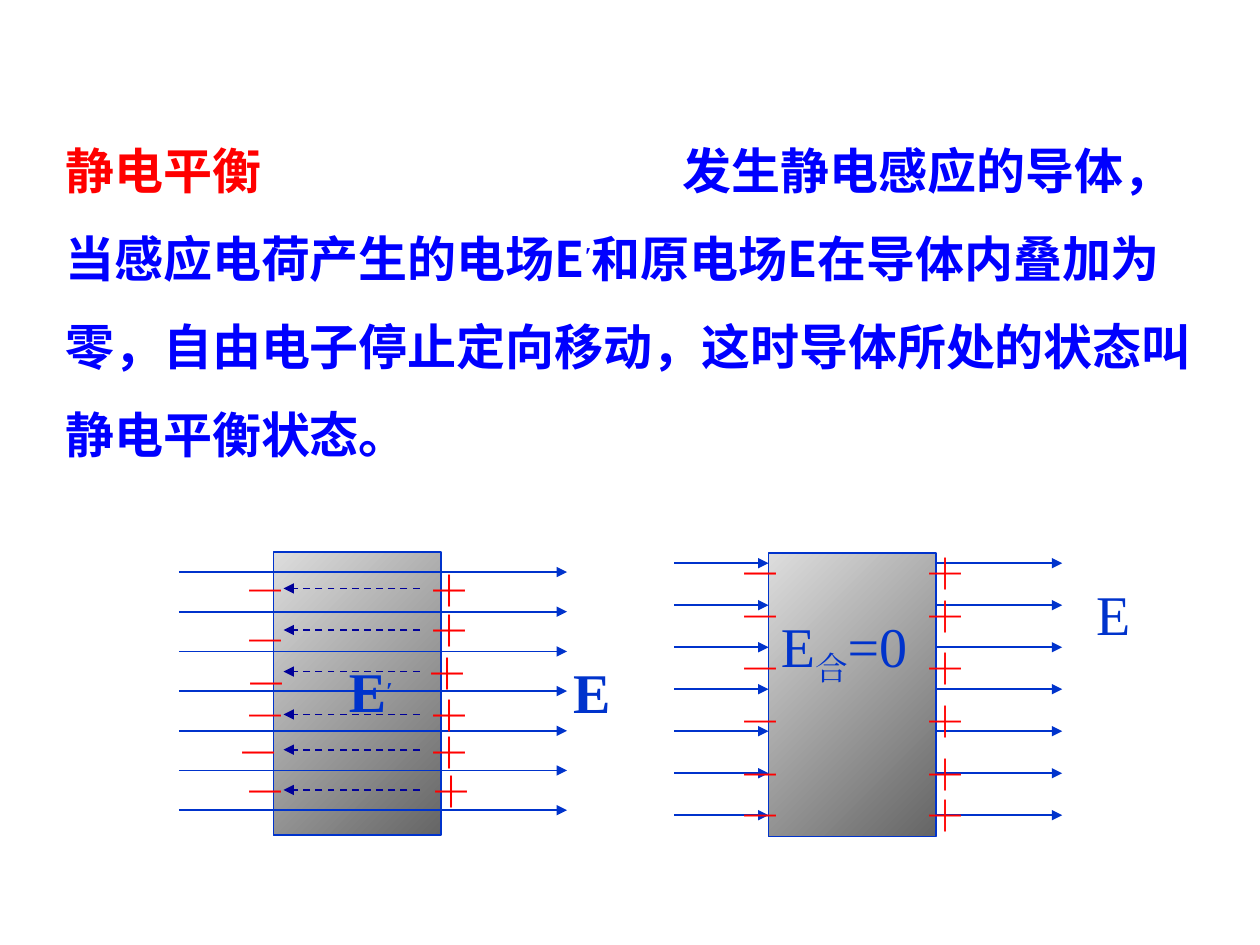
from lxml import etree
from pptx import Presentation
from pptx.dml.color import RGBColor
from pptx.enum.dml import MSO_LINE
from pptx.enum.shapes import MSO_CONNECTOR, MSO_SHAPE
from pptx.enum.text import MSO_AUTO_SIZE
from pptx.oxml.ns import qn
from pptx.util import Inches, Pt

STRAIGHT = MSO_CONNECTOR.STRAIGHT
RECTANGLE = MSO_SHAPE.RECTANGLE
DASH = MSO_LINE.DASH
FIT_SHAPE = MSO_AUTO_SIZE.SHAPE_TO_FIT_TEXT
RED = RGBColor(0xFF, 0x00, 0x00)
TEXT_BLUE = RGBColor(0x00, 0x00, 0xFF)
FIELD_BLUE = RGBColor(0x00, 0x33, 0xCC)
INDUCED_BLUE = RGBColor(0x00, 0x00, 0x99)
DARK_GREY = RGBColor(0x65, 0x65, 0x65)
LIGHT_GREY = RGBColor(0xDD, 0xDD, 0xDD)
SANS = "Noto Sans CJK SC"
SERIF = "Times New Roman"

prs = Presentation()
prs.slide_width, prs.slide_height = Inches(10), Inches(7.5)
slide = prs.slides.add_slide(prs.slide_layouts[6])


def add_text(left, top, width, height, runs, bold=False, wrap=True):
    box = slide.shapes.add_textbox(Inches(left), Inches(top), Inches(width), Inches(height))
    frame = box.text_frame
    frame.word_wrap = wrap
    frame.auto_size = FIT_SHAPE
    paragraph = frame.paragraphs[0]
    for text, size, font, color, baseline in runs:
        run = paragraph.add_run()
        run.text = text
        run.font.size = Pt(size)
        run.font.bold = bold
        run.font.color.rgb = color
        run.font.name = font
        properties = run.font._element
        etree.SubElement(properties, qn("a:ea")).set("typeface", font)
        if baseline:
            properties.set("baseline", str(baseline * 1000))
    return paragraph


def add_arrow(start, end, y, color=FIELD_BLUE, dash=None):
    arrow = slide.shapes.add_connector(STRAIGHT, Inches(start), Inches(y), Inches(end), Inches(y))
    arrow.line.color.rgb = color
    arrow.line.width = Pt(1)
    if dash:
        arrow.line.dash_style = dash
    etree.SubElement(arrow.line._get_or_add_ln(), qn("a:tailEnd")).set("type", "triangle")
    etree.SubElement(arrow._element.spPr, qn("a:effectLst"))


definition = add_text(0.42, 0.83, 9.25, 2.9, [
    ("静电平衡\t", 28, SANS, RED, 0),
    ("发生静电感应的导体，当感应电荷产生的电场E", 28, SANS, TEXT_BLUE, 0),
    ("′", 24, SERIF, TEXT_BLUE, 30),
    ("和原电场E在导体内叠加为零，自由电子停止定向移动，这时导体所处的状态叫静电平衡状态。",
     28, SANS, TEXT_BLUE, 0),
], bold=True)
definition.line_spacing = 1.5
tab_list = etree.SubElement(definition._p.get_or_add_pPr(), qn("a:tabLst"))
tab = etree.SubElement(tab_list, qn("a:tab"))
tab.set("pos", str(Inches(4.9)))
tab.set("algn", "l")

for left, top in [(2.17, 4.38), (6.1, 4.39)]:
    conductor = slide.shapes.add_shape(RECTANGLE, Inches(left), Inches(top), Inches(1.33), Inches(2.25))
    conductor.shadow.inherit = False
    conductor.fill.gradient()
    conductor.fill.gradient_angle = 135
    for stop, grey in zip(conductor.fill.gradient_stops, (DARK_GREY, LIGHT_GREY)):
        stop.color.rgb = grey
    conductor.line.color.rgb = FIELD_BLUE
    conductor.line.width = Pt(1)

for row in range(7):
    add_arrow(1.42, 4.5, 4.54 + row * 0.315)
    outer_y = 4.47 + row / 3
    add_arrow(5.35, 6.1, outer_y)
    add_arrow(7.43, 8.43, outer_y)

for induced_y in (4.67, 5, 5.33, 5.67, 5.95, 6.27):
    add_arrow(3.33, 2.25, induced_y, INDUCED_BLUE, DASH)

charges = [
    ("－", 1.84, 4.43, 0.53, False), ("－", 1.84, 4.83, 0.53, False),
    ("－", 1.85, 5.17, 0.53, True), ("－", 1.84, 5.42, 0.53, False),
    ("－", 1.79, 5.72, 0.53, True), ("－", 1.84, 6.03, 0.53, True),
    ("＋", 3.3, 4.43, 0.53, True), ("＋", 3.3, 4.75, 0.53, True),
    ("＋", 3.29, 5.09, 0.53, True), ("＋", 3.3, 5.42, 0.53, True),
    ("＋", 3.3, 5.72, 0.58, True), ("＋", 3.32, 6.03, 0.66, True),
]
for row, top in enumerate((4.3, 4.64, 5.05, 5.47, 5.89, 6.22)):
    charges.append(("－", 5.77, top, 0.53, row == 0))
    charges.append(("＋", 7.24, top, 0.53, False))
for sign, left, top, width, bold in charges:
    add_text(left, top, width, 0.5, [(sign, 24, SERIF, RED, 0)], bold, wrap=width > 0.53)

add_text(4.45, 5.17, 0.71, 0.64, [("E", 32, SERIF, FIELD_BLUE, 0)], bold=True)
add_text(2.67, 5.16, 0.92, 0.64, [
    ("E", 32, SERIF, FIELD_BLUE, 0),
    ("′", 24, SERIF, FIELD_BLUE, 30),
], bold=True)
add_text(8.6, 4.55, 0.42, 0.64, [("E", 32, SERIF, FIELD_BLUE, 0)])
add_text(6.1, 4.8, 1.83, 0.71, [
    ("E", 32, SERIF, FIELD_BLUE, 0),
    ("合", 32, SERIF, FIELD_BLUE, -25),
    ("=0", 32, SERIF, FIELD_BLUE, 0),
])

prs.save("out.pptx")
